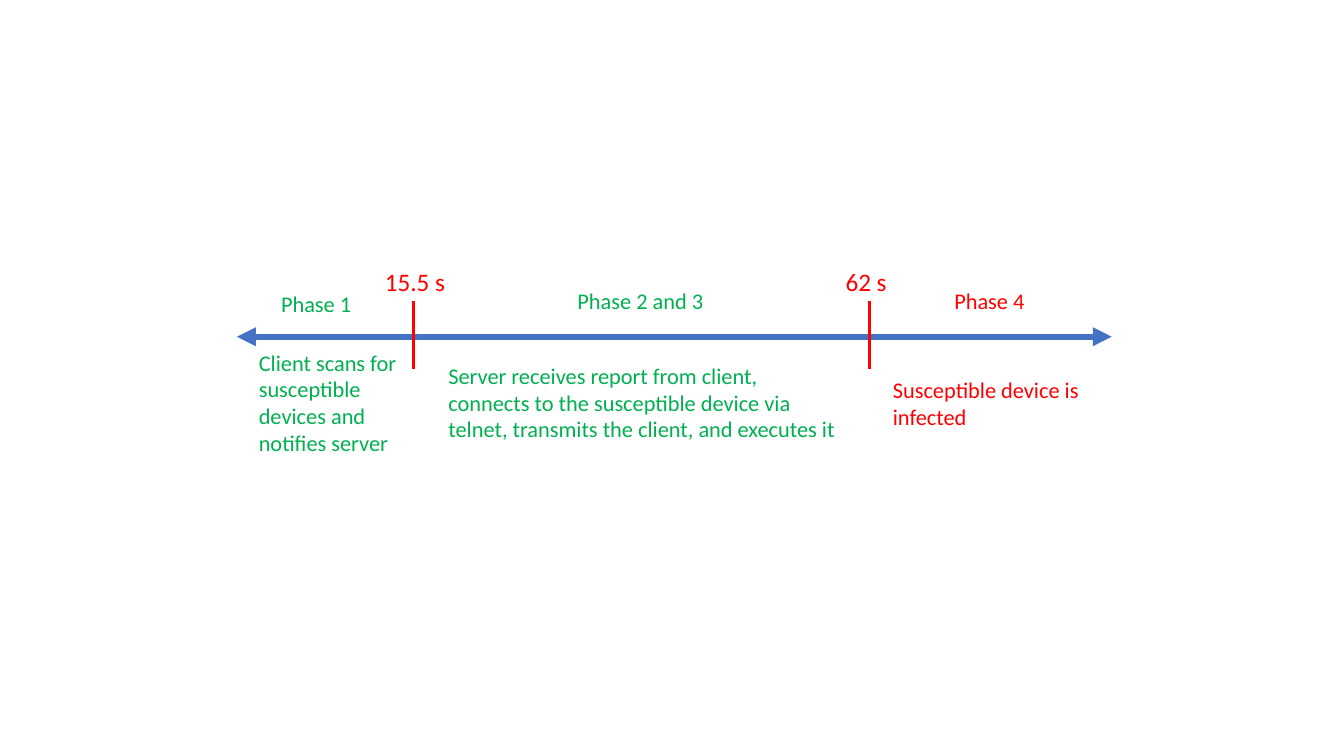
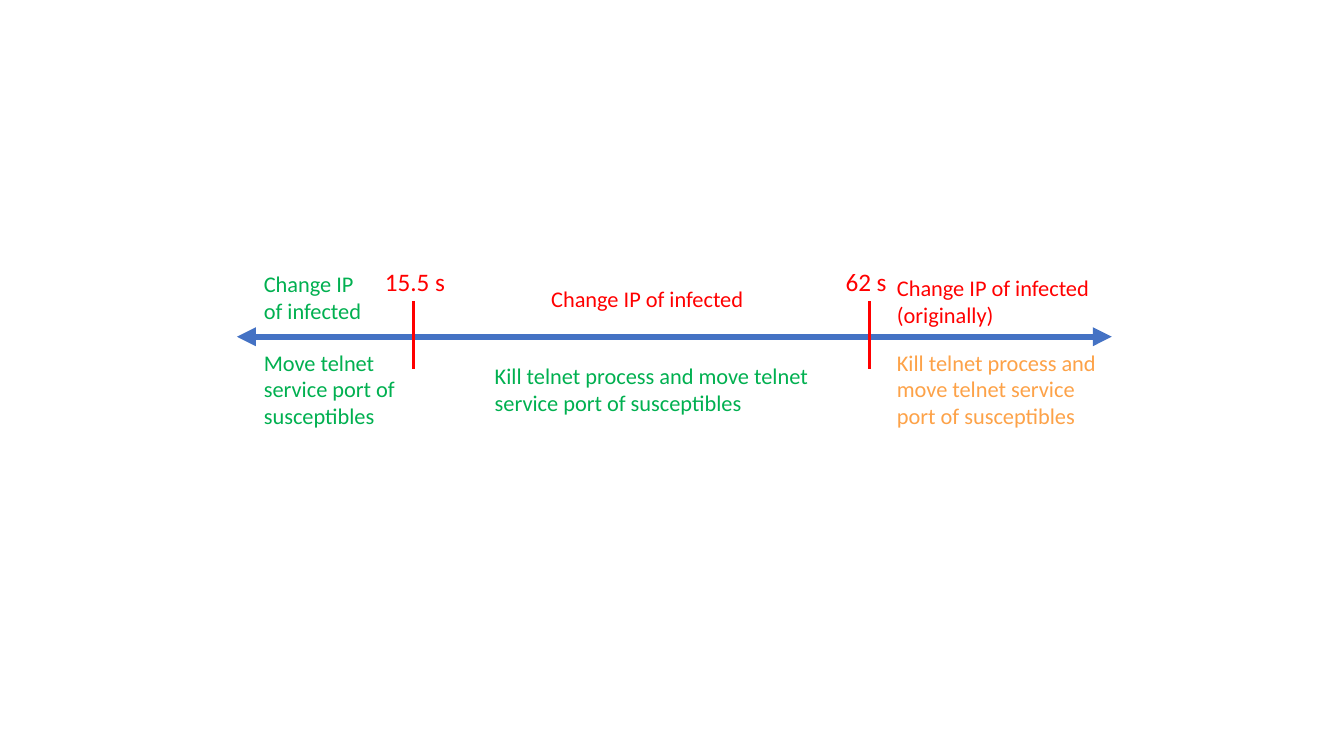
from pptx import Presentation
from pptx.dml.color import RGBColor
from pptx.enum.shapes import MSO_CONNECTOR as CONNECTOR
from pptx.enum.text import MSO_AUTO_SIZE as AUTO_SIZE
from pptx.oxml.ns import qn
from pptx.util import Pt
from lxml.etree import SubElement

# Shared look
FONT = "Calibri"
BLUE, RED, GREEN, ORANGE = "4472C4", "FF0000", "00B050", "FDA248"
NOTE_SIZE, TIME_SIZE = 16, 18

# Shared timeline geometry
AXIS_LEFT, AXIS_RIGHT, AXIS_Y = 169.2, 794.2, 240.5
TICK_TOP, TICK_BOTTOM = 215.3, 263.5
TIME_TOP, TIME_WIDTH = 186.5, 62.6
# time, tick x, label left
MILESTONES = [("15.5 s", 295.2, 267.8), ("62 s", 621.4, 596.9)]

# Notes: left, top, width, line count, colour, paragraphs
PHASES = [
    (193.7, 203.8, 95.8, 1, GREEN, ["Phase 1"]),
    (177.8, 245.5, 115.2, 4, GREEN,
     ["Client scans for susceptible devices and notifies server"]),
    (313.2, 254.9, 296.6, 3, GREEN,
     ["Server receives report from client, connects to the susceptible "
      "device via telnet, transmits the client, and executes it"]),
    (405.4, 201.6, 106.6, 1, GREEN, ["Phase 2 and 3"]),
    (674.6, 201.6, 72, 1, RED, ["Phase 4"]),
    (630.7, 265, 163.4, 2, RED, ["Susceptible device is infected"]),
]
KILL_AND_MOVE = "Kill telnet process and move telnet service port of susceptibles"
DEFENCES = [
    (181.4, 189.4, 95.8, 2, GREEN, ["Change IP ", "of infected"]),
    (181.4, 245.5, 115.2, 3, GREEN,
     ["Move telnet service port of susceptibles"]),
    (346.3, 254.9, 267.8, 2, GREEN, [KILL_AND_MOVE]),
    (386.6, 200.2, 154.8, 1, RED, ["Change IP of infected"]),
    (633.6, 192.2, 163.4, 2, RED, ["Change IP of infected (originally)"]),
    (633.6, 245.5, 163.4, 3, ORANGE, [KILL_AND_MOVE]),
]


def rgb(value):
    return RGBColor.from_string(value)


def add_line(slide, start, end, color, width, arrows=False):
    line = slide.shapes.add_connector(
        CONNECTOR.STRAIGHT, *(Pt(v) for v in (*start, *end)))
    line.line.color.rgb = rgb(color)
    line.line.width = Pt(width)
    properties = line._element.spPr
    if arrows:
        outline = properties.find(qn("a:ln"))
        for arrowhead in ("a:headEnd", "a:tailEnd"):
            SubElement(outline, qn(arrowhead), type="triangle")
    SubElement(properties, qn("a:effectLst"))  # no shadow


def add_note(slide, left, top, width, lines, color, paragraphs, size=NOTE_SIZE):
    height = 7.2 + lines * size * 1.21
    box = slide.shapes.add_textbox(Pt(left), Pt(top), Pt(width), Pt(height))
    frame = box.text_frame
    frame.word_wrap = True
    frame.auto_size = AUTO_SIZE.SHAPE_TO_FIT_TEXT
    for index, text in enumerate(paragraphs):
        paragraph = frame.add_paragraph() if index else frame.paragraphs[0]
        run = paragraph.add_run()
        run.text = text
        run.font.name = FONT
        run.font.size = Pt(size)
        run.font.color.rgb = rgb(color)


def add_timeline(slide):
    add_line(slide, (AXIS_LEFT, AXIS_Y), (AXIS_RIGHT, AXIS_Y), BLUE, 4.5,
             arrows=True)
    for time, tick_x, label_left in MILESTONES:
        add_line(slide, (tick_x, TICK_TOP), (tick_x, TICK_BOTTOM), RED, 2.25)
        add_note(slide, label_left, TIME_TOP, TIME_WIDTH, 1, RED, [time],
                 TIME_SIZE)


def main():
    deck = Presentation()
    deck.slide_width, deck.slide_height = Pt(960), Pt(540)
    blank_layout = deck.slide_layouts[6]
    # Infection phases, then the defences for each phase
    for notes in (PHASES, DEFENCES):
        slide = deck.slides.add_slide(blank_layout)
        add_timeline(slide)
        for note in notes:
            add_note(slide, *note)
    deck.save("out.pptx")


main()
